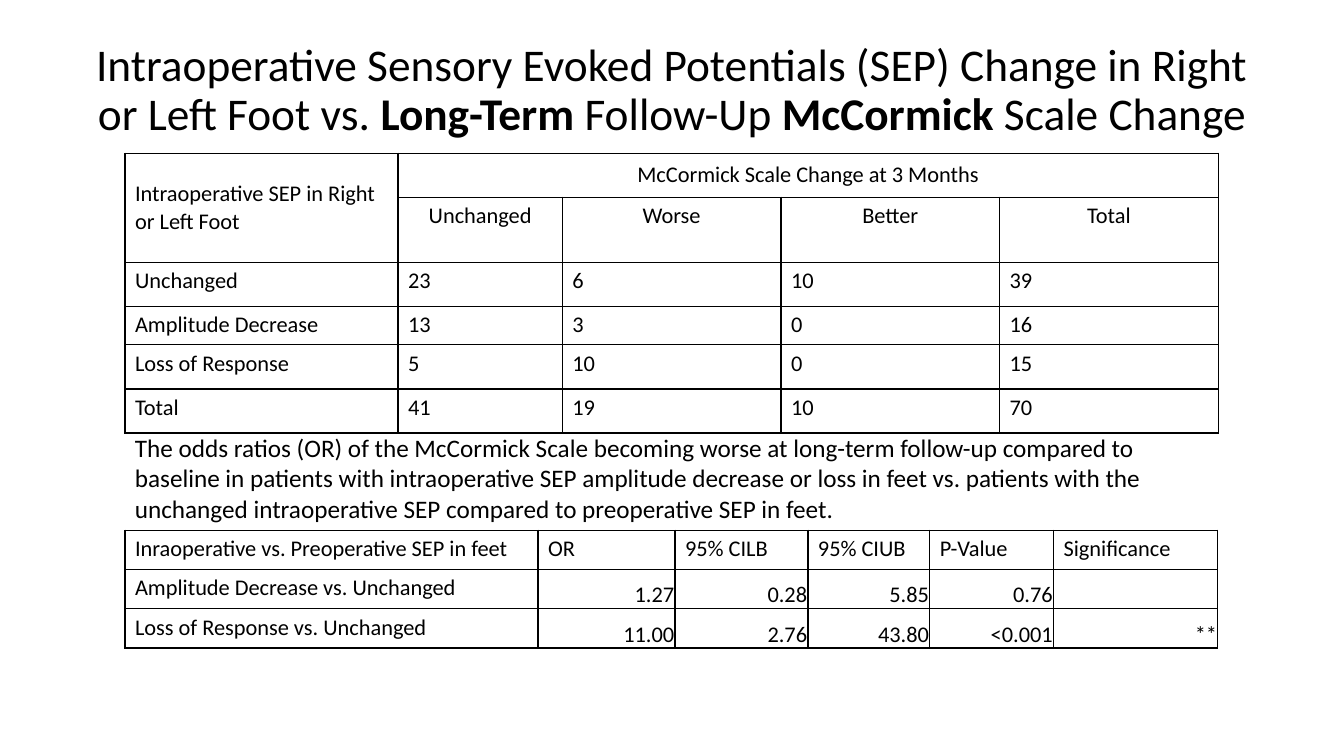
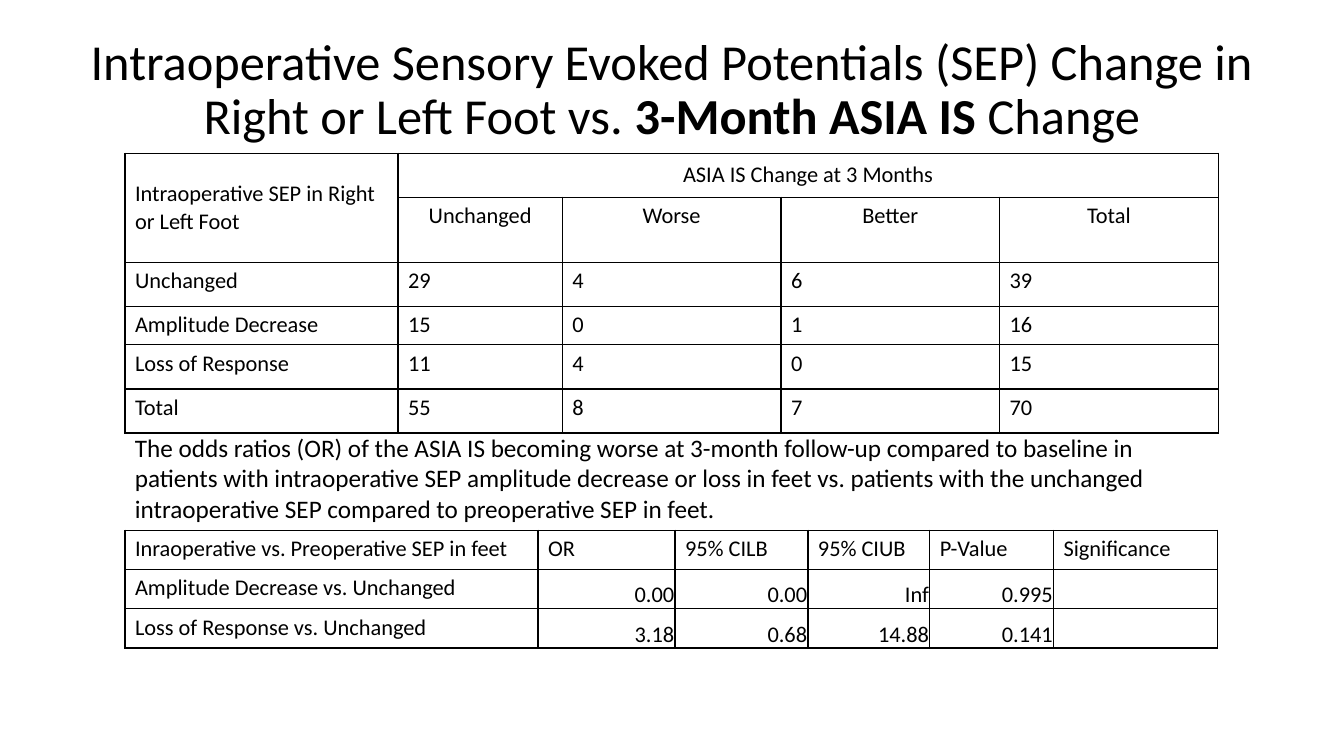
from lxml.etree import SubElement
from pptx import Presentation
from pptx.dml.color import RGBColor
from pptx.enum.text import MSO_ANCHOR, MSO_AUTO_SIZE, PP_ALIGN
from pptx.oxml.ns import qn
from pptx.util import Cm, Pt

BLACK = RGBColor(0x00, 0x00, 0x00)
LEFT, WIDTH = Cm(3.15), Cm(27.56)
BORDER = Pt(1)

BODY_FONT = {"name": "Calibri", "size": Pt(16), "bold": False}
NOTE_FONT = {**BODY_FONT, "size": Pt(18)}
TITLE_BOX = {"left": Cm(1.88), "top": Cm(0.74), "width": Cm(30.1), "height": Cm(3.12)}
TITLE_FRAME = {"word_wrap": True, "auto_size": MSO_AUTO_SIZE.NONE,
               "vertical_anchor": MSO_ANCHOR.MIDDLE}
TITLE_PARAGRAPH = {"alignment": PP_ALIGN.CENTER, "line_spacing": 0.9}
NOTE_FRAME = {"word_wrap": True, "auto_size": MSO_AUTO_SIZE.SHAPE_TO_FIT_TEXT}
PLAIN_TABLE = {"first_row": False, "horz_banding": False}
MIDDLE_CELL = {"vertical_anchor": MSO_ANCHOR.MIDDLE}
NUMBER_CELL = {"vertical_anchor": MSO_ANCHOR.BOTTOM, "margin_left": Cm(0.02),
               "margin_right": Cm(0.02), "margin_top": Cm(0.02), "margin_bottom": 0}

COUNT_TOP = Cm(3.86)
COUNT_COLUMNS = [6.88, 4.14, 5.51, 5.51, 5.51]
COUNT_ROWS = [1.11, 1.64, 1.11, 0.97, 1.11, 1.11]
COUNT_HEADER = ["", "Unchanged", "Worse", "Better", "Total"]
COUNT_LABELS = ["Unchanged", "Amplitude Decrease", "Loss of Response", "Total"]

ODDS_TOP = Cm(13.36)
ODDS_COLUMNS = [10.41, 3.45, 3.35, 3.07, 3.12, 4.14]
ODDS_ROWS = [0.99] * 3
ODDS_HEADER = ["Inraoperative vs. Preoperative SEP in feet", "OR", "95% CILB",
               "95% CIUB", "P-Value", "Significance"]
ODDS_LABELS = ["Amplitude Decrease vs. Unchanged", "Loss of Response vs. Unchanged"]

TITLE_START = ("Intraoperative Sensory Evoked Potentials (SEP) Change in Right "
               "or Left Foot vs. ")
NOTE = ("The odds ratios (OR) of the {scale} becoming worse at {period} follow-up "
        "compared to baseline in patients with intraoperative SEP amplitude decrease "
        "or loss in feet vs. patients with the unchanged intraoperative SEP compared "
        "to preoperative SEP in feet.")

SLIDES = [
    {
        "title": [(TITLE_START, False), ("Long-Term", True), (" Follow-Up ", False),
                  ("McCormick ", True), ("Scale Change", False)],
        "title_size": Pt(32.4),
        "scale": "McCormick Scale",
        "period": "long-term",
        "counts": [[23, 6, 10, 39], [13, 3, 0, 16], [5, 10, 0, 15], [41, 19, 10, 70]],
        "odds": [["1.27", "0.28", "5.85", "0.76", ""],
                 ["11.00", "2.76", "43.80", "<0.001", "**"]],
    },
    {
        "title": [(TITLE_START, False), ("3-Month ASIA IS ", True), ("Change", False)],
        "title_size": Pt(36),
        "scale": "ASIA IS",
        "period": "3-month",
        "counts": [[29, 4, 6, 39], [15, 0, 1, 16], [11, 4, 0, 15], [55, 8, 7, 70]],
        "odds": [["0.00", "0.00", "Inf", "0.995", ""],
                 ["3.18", "0.68", "14.88", "0.141", ""]],
    },
]


def apply_format(target, values):
    """Set each named attribute of the target."""
    for name, value in values.items():
        setattr(target, name, value)


def add_run(paragraph, text, font_format):
    """Append black text in the given font format."""
    run = paragraph.add_run()
    run.text = text
    apply_format(run.font, font_format)
    run.font.color.rgb = BLACK


def add_border(cell):
    """Draw a thin black line on all four sides of a cell."""
    properties = cell._tc.get_or_add_tcPr()
    for side in ("a:lnL", "a:lnR", "a:lnT", "a:lnB"):
        line = SubElement(properties, qn(side), w=str(BORDER))
        fill = SubElement(line, qn("a:solidFill"))
        SubElement(fill, qn("a:srgbClr"), val=str(BLACK))


def add_grid(slide, top, columns, rows, values):
    """Add an unfilled, bordered table and return it."""
    frame = slide.shapes.add_table(len(rows), len(columns), LEFT, top,
                                   WIDTH, Cm(sum(rows)))
    table = frame.table
    apply_format(table, PLAIN_TABLE)
    for column, width in zip(table.columns, columns):
        column.width = Cm(width)
    for row, height, texts in zip(table.rows, rows, values):
        row.height = Cm(height)
        for cell, text in zip(row.cells, texts):
            add_border(cell)
            cell.fill.background()
            if text != "":
                add_run(cell.text_frame.paragraphs[0], str(text), BODY_FONT)
    return table


def format_cell(cell, alignment, values):
    """Align the text of a cell and set its anchor and margins."""
    cell.text_frame.paragraphs[0].alignment = alignment
    apply_format(cell, values)


def add_title(slide, parts, size):
    """Fill the title placeholder with plain and bold parts."""
    title = slide.shapes.title
    apply_format(title, TITLE_BOX)
    apply_format(title.text_frame, TITLE_FRAME)
    paragraph = title.text_frame.paragraphs[0]
    apply_format(paragraph, TITLE_PARAGRAPH)
    for text, bold in parts:
        add_run(paragraph, text, {"name": "Calibri", "size": size, "bold": bold})


def add_count_table(slide, scale, counts):
    """Add the table of patient counts with its two header rows."""
    heading = ["Intraoperative SEP in Right or Left Foot",
               f"{scale} Change at 3 Months", "", "", ""]
    body = [[label, *row] for label, row in zip(COUNT_LABELS, counts)]
    table = add_grid(slide, COUNT_TOP, COUNT_COLUMNS, COUNT_ROWS,
                     [heading, COUNT_HEADER, *body])
    table.cell(0, 0).merge(table.cell(1, 0))
    table.cell(0, 1).merge(table.cell(0, 4))
    format_cell(table.cell(0, 0), PP_ALIGN.LEFT, MIDDLE_CELL)
    format_cell(table.cell(0, 1), PP_ALIGN.CENTER, MIDDLE_CELL)
    for column in range(1, len(COUNT_COLUMNS)):
        format_cell(table.cell(1, column), PP_ALIGN.CENTER, {})


def add_note(slide, text):
    """Add the explanation between the two tables."""
    note = slide.shapes.add_textbox(LEFT, Cm(10.77), WIDTH, Cm(2.57))
    apply_format(note.text_frame, NOTE_FRAME)
    add_run(note.text_frame.paragraphs[0], text, NOTE_FONT)


def add_odds_table(slide, odds):
    """Add the table of odds ratios with right-aligned figures."""
    body = [[label, *row] for label, row in zip(ODDS_LABELS, odds)]
    table = add_grid(slide, ODDS_TOP, ODDS_COLUMNS, ODDS_ROWS, [ODDS_HEADER, *body])
    for row in range(1, len(ODDS_ROWS)):
        for column in range(1, len(ODDS_COLUMNS)):
            format_cell(table.cell(row, column), PP_ALIGN.RIGHT, NUMBER_CELL)


def main():
    """Build and save the presentation."""
    presentation = Presentation()
    apply_format(presentation, {"slide_width": Cm(33.87), "slide_height": Cm(19.05)})
    title_only = presentation.slide_layouts.get_by_name("Title Only")
    for content in SLIDES:
        slide = presentation.slides.add_slide(title_only)
        add_title(slide, content["title"], content["title_size"])
        add_count_table(slide, content["scale"], content["counts"])
        add_note(slide, NOTE.format(scale=content["scale"], period=content["period"]))
        add_odds_table(slide, content["odds"])
    presentation.save("out.pptx")


main()
